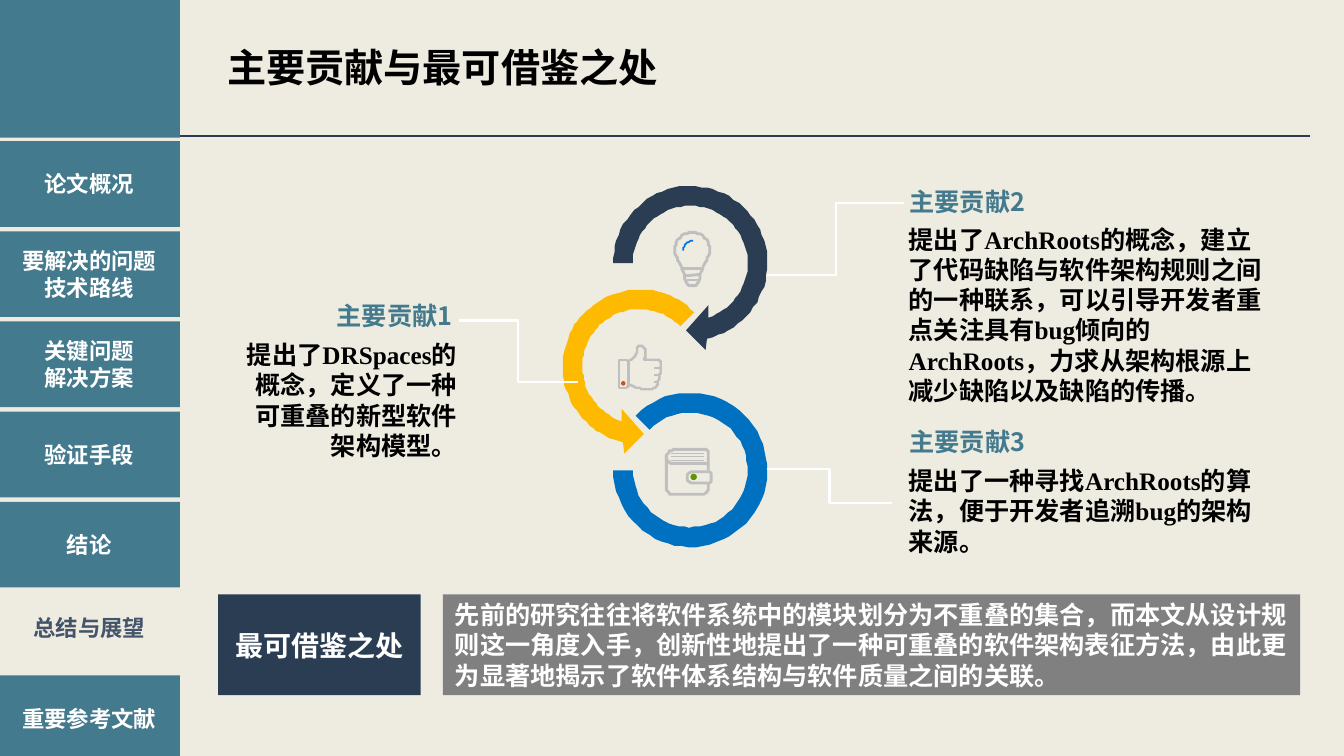
from dataclasses import dataclass
from math import cos, radians, sin

from lxml.etree import SubElement
from pptx import Presentation
from pptx.dml.color import RGBColor
from pptx.enum.shapes import MSO_CONNECTOR, MSO_SHAPE
from pptx.enum.text import MSO_ANCHOR, MSO_AUTO_SIZE, PP_ALIGN
from pptx.oxml.ns import qn
from pptx.util import Pt


@dataclass(frozen=True)
class Theme:
    """Colours, fonts and type sizes of the slide."""

    paper: str = "EEECE1"
    teal: str = "447A8D"
    navy: str = "2A3D52"
    slate: str = "44546A"
    blue: str = "0070C0"
    gold: str = "FEBA01"
    gray: str = "808080"
    silver: str = "BFBFBF"
    white: str = "FFFFFF"
    black: str = "000000"
    glint: str = "0073E4"
    button: str = "D05126"
    clasp: str = "619405"
    sans: str = "Noto Sans CJK SC"
    serif: str = "Times New Roman"
    title: int = 28
    label: int = 20
    body: int = 18
    tab: int = 16


THEME = Theme()
TABS = ["论文概况", "要解决的问题\n技术路线", "关键问题\n解决方案", "验证手段", "结论", "总结与展望", "重要参考文献"]
CURRENT_TAB = 5
BULB = [(13.5, 1), (6.6, 1, 1, 6.6, 1, 13.5), (1, 18.5, 5.5, 23, 7, 29), (9, 36, 9, 39, 13.5, 39),
        (18, 39, 18, 36, 20, 29), (21.5, 23, 26, 18.5, 26, 13.5), (26, 6.6, 20.4, 1, 13.5, 1)]
BULB_BANDS = [[(7, 27.4), (20, 27.4)], [(9, 31.7), (19, 31)], [(10, 35.3), (18, 34.5)]]
GLINT = [(7, 14), (7, 10.2, 10.2, 7, 14, 7)]
CUFF = [(1, 13), (1, 11.5, 2, 11, 3, 11), (6, 11), (7, 11, 8, 11.5, 8, 13), (8, 29.5),
        (8, 31, 7, 31.5, 6, 31.5), (3, 31.5), (2, 31.5, 1, 31, 1, 29.5), (1, 13)]
HAND = [(8, 28.5), (8, 12.5), (12, 10.5, 14.8, 7, 14.8, 3), (15, 1, 16.5, 1, 17, 1),
        (19.5, 1.5, 20.5, 4, 20.5, 6.5), (20.5, 9, 20, 10, 19.7, 11.2), (29, 11.2),
        (32.5, 12, 32.5, 16, 30.5, 17), (32.5, 18, 32, 21.5, 30, 22), (31.5, 23, 31, 26.5, 28.7, 27),
        (30, 29, 28, 32, 25, 32), (19.5, 32), (13, 32, 12, 30, 8, 28.5)]
KNUCKLES = [[(26.5, y), (30, y)] for y in (17, 22, 27)]
WALLET = [(31, 16), (31, 3), (31, 1.5, 30, 1, 28.5, 1), (6.5, 1), (3.5, 1, 1, 3.5, 1, 6), (1, 28),
          (1, 31, 3.5, 33, 6.5, 33), (25.5, 33), (29, 33, 31, 30, 31, 28), (31, 25)]
FLAP = [(1, 6), (1, 8.5, 3.5, 10.7, 6.5, 10.7), (28.5, 10.7), (30, 10.7, 31, 11.5, 31, 13)]
STRAP = [(31, 16.2), (20, 16.2), (14, 16.2, 14, 25, 20, 25), (31, 25), (34, 24, 34, 17, 31, 16.2)]
NOTES = [[(4, y), (28, y)] for y in (3.9, 6, 8.1)]


def color(value):
    """Turn a hex value into a colour."""
    return RGBColor.from_string(value)


def write(shape, text, size, ink, font=THEME.sans, align=PP_ALIGN.LEFT, anchor=MSO_ANCHOR.TOP, inset=3.6, wrap=True):
    """Write bold text into a shape, one paragraph a line."""
    frame = shape.text_frame
    frame.word_wrap = wrap
    frame.auto_size = MSO_AUTO_SIZE.NONE
    frame.vertical_anchor = anchor
    frame.margin_left = frame.margin_right = Pt(inset)
    frame.margin_top = frame.margin_bottom = Pt(3.6)
    for index, line in enumerate(text.split("\n")):
        paragraph = frame.add_paragraph() if index else frame.paragraphs[0]
        paragraph.alignment = align
        paragraph.line_spacing = Pt(size * 1.2)
        run = paragraph.add_run()
        run.text = line
        run.font.size = Pt(size)
        run.font.bold = True
        run.font.color.rgb = color(ink)
        run.font.name = font
        SubElement(run.font._element, qn("a:ea"), typeface=THEME.sans)


def textbox(slide, box, text, *style, **options):
    """Place a text box."""
    write(slide.shapes.add_textbox(*map(Pt, box)), text, *style, **options)


def filled(shape, fill):
    """Give a shape a plain fill without outline or shadow."""
    shape.shadow.inherit = False
    shape.fill.solid()
    shape.fill.fore_color.rgb = color(fill)
    shape.line.fill.background()
    return shape


def preset(slide, kind, box, fill):
    """Place a filled preset shape."""
    return filled(slide.shapes.add_shape(kind, *map(Pt, box)), fill)


def connect(slide, kind, start, end, ink, width):
    """Draw a connector between two points."""
    line = slide.shapes.add_connector(kind, *map(Pt, (*start, *end)))
    line.line.color.rgb = color(ink)
    line.line.width = Pt(width)
    SubElement(line._element.spPr, qn("a:effectLst"))


def outline(slide, points, close):
    """Build a freeform through points."""
    builder = slide.shapes.build_freeform(*points[0], scale=float(Pt(1)))
    builder.add_line_segments(points[1:], close=close)
    return builder.convert_to_shape()


def stroke(slide, origin, steps, ink, width):
    """Draw an open path of straight steps and cubic curves."""
    points = [steps[0]]
    for step in steps[1:]:
        if len(step) == 2:
            points.append(step)
            continue
        knots = [points[-1], step[:2], step[2:4], step[4:]]
        for t in (n / 10 for n in range(1, 11)):
            weights = ((1 - t) ** 3, 3 * t * (1 - t) ** 2, 3 * t * t * (1 - t), t ** 3)
            points.append(tuple(sum(w * knot[axis] for w, knot in zip(weights, knots)) for axis in (0, 1)))
    shape = outline(slide, [(origin[0] + x, origin[1] + y) for x, y in points], False)
    shape.shadow.inherit = False
    shape.fill.background()
    shape.line.color.rgb = color(ink)
    shape.line.width = Pt(width)


def ring(slide, center, start, fill, arrow=True, mirror=1):
    """Draw an open ring, with an arrowhead at its end if wanted."""
    def arc(radius, first, last):
        angles = [radians(first + (last - first) * n / 60) for n in range(61)]
        return [(radius * cos(a), radius * sin(a)) for a in angles]

    outer_end, inner_end = (437.6, 431.2) if arrow else (540, 540)
    head = [(11.5, 62.5), (-3.4, 48.2), (13.5, 30.3)] if arrow else []
    points = arc(55.1, start, outer_end) + head + arc(41, inner_end, start)
    filled(outline(slide, [(center[0] + mirror * x, center[1] + y) for x, y in points], True), fill)


def bulb(slide, origin):
    """Draw the light bulb."""
    for steps in (BULB, *BULB_BANDS):
        stroke(slide, origin, steps, THEME.silver, 2)
    stroke(slide, origin, GLINT, THEME.glint, 1.2)


def thumb(slide, origin):
    """Draw the raised thumb."""
    for steps in (CUFF, HAND, *KNUCKLES):
        stroke(slide, origin, steps, THEME.silver, 1.7)
    preset(slide, MSO_SHAPE.OVAL, (origin[0] + 3, origin[1] + 26.6, 3.2, 3.2), THEME.button)


def wallet(slide, origin):
    """Draw the wallet."""
    for steps in (WALLET, FLAP, STRAP):
        stroke(slide, origin, steps, THEME.silver, 2)
    for steps in NOTES:
        stroke(slide, origin, steps, THEME.silver, 1)
    preset(slide, MSO_SHAPE.OVAL, (origin[0] + 18, origin[1] + 18, 4.6, 4.6), THEME.clasp)


def header(slide, left, top, width, height):
    """Set the title and the rule below it."""
    connect(slide, MSO_CONNECTOR.STRAIGHT, (97.2, 97.2), (936, 97.2), THEME.navy, 1)
    title = slide.shapes.title
    title.left, title.top, title.width, title.height = map(Pt, (left, top, width, height))
    write(title, "主要贡献与最可借鉴之处", THEME.title, THEME.black, anchor=MSO_ANCHOR.MIDDLE, inset=7.2)


def sidebar(slide, left, top, width, height):
    """Stack the navigation tabs, the current one beneath the others."""
    preset(slide, MSO_SHAPE.RECTANGLE, (left, -2, width, top - 0.4), THEME.teal)
    for index in sorted(range(len(TABS)), key=lambda n: n != CURRENT_TAB):
        current = index == CURRENT_TAB
        y = top + 64.4 * index - (4.8 if index >= CURRENT_TAB else 0)
        tab = preset(slide, MSO_SHAPE.RECTANGLE, (left, y, width, height), THEME.paper if current else THEME.teal)
        write(tab, TABS[index], THEME.tab, THEME.slate if current else THEME.white,
              align=PP_ALIGN.CENTER, anchor=MSO_ANCHOR.MIDDLE)


def cycle(slide, x, y, pitch):
    """Chain the three rings and their icons."""
    ring(slide, (x, y + 2 * pitch), 225, THEME.blue, arrow=False)
    ring(slide, (x - 36, y + pitch), 225, THEME.gold, mirror=-1)
    ring(slide, (x, y), 180, THEME.navy)
    bulb(slide, (x - 12, y - 23))
    thumb(slide, (x - 52.4, y + pitch - 16.2))
    wallet(slide, (x - 17.8, y + 2 * pitch - 15.2))


def contribution(slide, number, text, heading, body, link, align=PP_ALIGN.LEFT):
    """Place one contribution and the line to its ring."""
    connect(slide, MSO_CONNECTOR.ELBOW, *link, THEME.white, 1.5)
    textbox(slide, heading, f"主要贡献{number}", THEME.body, THEME.teal, align=align)
    textbox(slide, body, text, THEME.body, THEME.black, font=THEME.serif, align=align)


def takeaway(slide, left, top, width, height):
    """Place the label and the closing statement."""
    label = preset(slide, MSO_SHAPE.RECTANGLE, (left, top, 144.7, height), THEME.navy)
    write(label, "最可借鉴之处", THEME.label, THEME.white, align=PP_ALIGN.CENTER, anchor=MSO_ANCHOR.MIDDLE, wrap=False)
    panel = preset(slide, MSO_SHAPE.RECTANGLE, (left + 160.6, top, width - 160.6, height), THEME.gray)
    write(panel, "先前的研究往往将软件系统中的模块划分为不重叠的集合，而本文从设计规则这一角度入手，创新性地提出了一种可重叠的软件架构表征方法，由此更为显著地揭示了软件体系结构与软件质量之间的关联。",
          THEME.body, THEME.white, anchor=MSO_ANCHOR.MIDDLE, inset=8.6)


def main():
    """Build and save the slide."""
    presentation = Presentation()
    presentation.slide_width, presentation.slide_height = Pt(960), Pt(540)
    slide = presentation.slides.add_slide(presentation.slide_layouts[5])
    slide.background.fill.solid()
    slide.background.fill.fore_color.rgb = color(THEME.paper)
    header(slide, 155, 27.4, 346, 41)
    sidebar(slide, -1, 100.8, 129.6, 61.2)
    cycle(slide, 493, 188, 73.8)
    contribution(slide, 2, "提出了ArchRoots的概念，建立了代码缺陷与软件架构规则之间的一种联系，可以引导开发者重点关注具有bug倾向的ArchRoots，力求从架构根源上减少缺陷以及缺陷的传播。",
                 (646, 129.6, 223, 29), (645.5, 156.5, 266, 138), ((548, 196.5), (646, 145.3)))
    contribution(slide, 3, "提出了一种寻找ArchRoots的算法，便于开发者追溯bug的架构来源。",
                 (646, 301, 223, 29), (645.5, 329, 266, 73), ((548, 334.8), (637, 359.3)))
    contribution(slide, 1, "提出了DRSpaces的概念，定义了一种可重叠的新型软件架构模型。",
                 (103.7, 211, 223, 29), (167, 239, 163, 94), ((413, 273), (327.6, 229)), PP_ALIGN.RIGHT)
    takeaway(slide, 155.8, 424.6, 773, 72)
    presentation.save("out.pptx")


if __name__ == "__main__":
    main()
